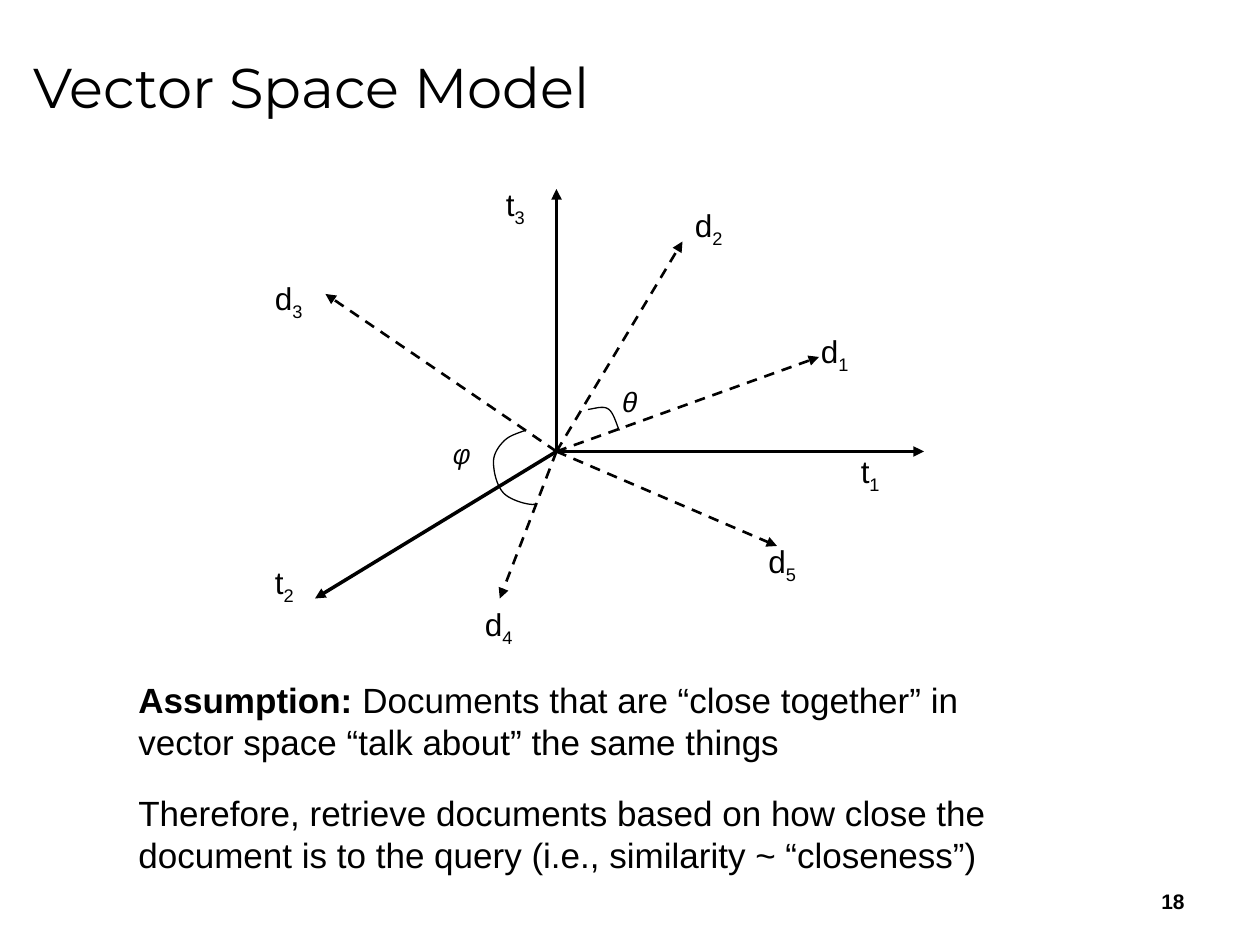
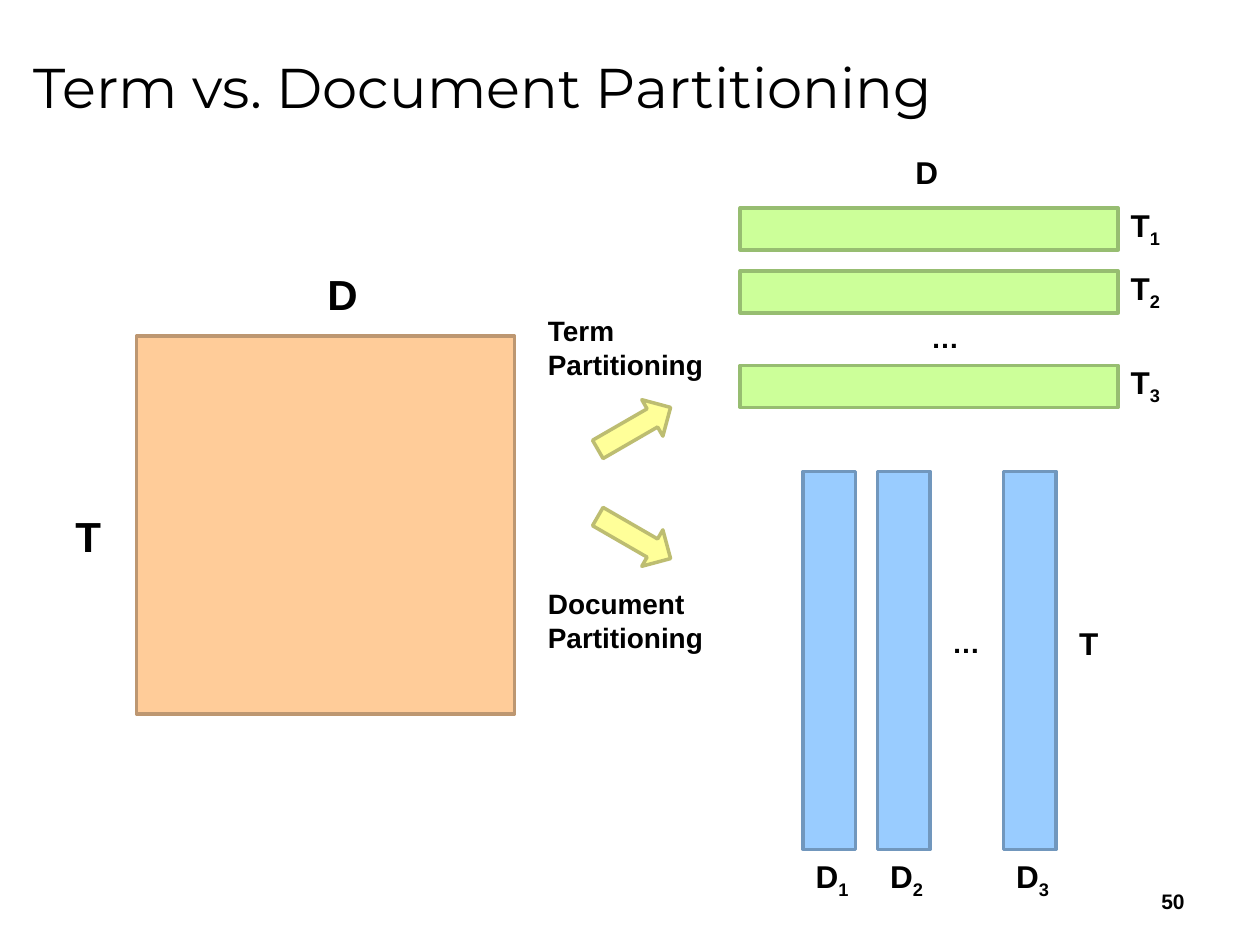
from pptx import Presentation
from pptx.dml.color import RGBColor
from pptx.enum.dml import MSO_LINE
from pptx.enum.shapes import MSO_CONNECTOR, MSO_SHAPE
from pptx.enum.text import MSO_ANCHOR, MSO_AUTO_SIZE, PP_ALIGN
from pptx.oxml.ns import qn
from pptx.util import Inches, Pt
from lxml.etree import SubElement

BLACK = "000000"
BODY_FONT = "Arial"
TITLE_FONT = "Montserrat"
SYMBOL_FONT = "Courier New"
ORANGE = ("FFCC99", "BD9771")
GREEN = ("CCFF99", "97BD71")
BLUE = ("99CCFF", "7197BD")
YELLOW = ("FFFF99", "BDBD71")
GRID_COLUMNS = 120
GRID_ROWS = 90
CURVE_STEPS = 12


def color(hex_code):
    """Turn a hex string into a colour."""
    return RGBColor.from_string(hex_code)


def curve_points(start, segments):
    """Sample a chain of cubic curves, each given as three points."""
    points = [start]
    for first, second, end in segments:
        origin = points[-1]
        for step in range(1, CURVE_STEPS + 1):
            t = step / CURVE_STEPS
            weights = ((1 - t) ** 3, 3 * t * (1 - t) ** 2, 3 * t**2 * (1 - t), t**3)
            corners = (origin, first, second, end)
            points.append(tuple(
                sum(weight * corner[axis] for weight, corner in zip(weights, corners))
                for axis in (0, 1)))
    return points


class Deck:
    """Hold the presentation style and the current slide, on a fine grid."""

    def __init__(self):
        """Open a blank presentation and set its size."""
        self.presentation = Presentation()
        self.presentation.slide_width = Inches(10)
        self.presentation.slide_height = Inches(7.5)
        self.slide = None

    def place(self, column, row):
        """Convert grid columns and rows to slide lengths."""
        return (round(self.presentation.slide_width * column / GRID_COLUMNS),
                round(self.presentation.slide_height * row / GRID_ROWS))

    def set_font(self, paragraph, size, name=BODY_FONT, bold=False, italic=False):
        """Format a whole paragraph."""
        font = paragraph.font
        font.size = Pt(size)
        font.name = name
        font.bold = bold
        font.italic = italic
        font.color.rgb = color(BLACK)

    def add_slide(self, title, number):
        """Start a slide with its title and page number."""
        self.slide = self.presentation.slides.add_slide(self.presentation.slide_layouts[5])
        shape = self.slide.shapes.title
        shape.left, shape.top = self.place(2, 1.5)
        shape.width, shape.height = self.place(114, 13.4)
        frame = shape.text_frame
        frame.text = title
        frame.auto_size = MSO_AUTO_SIZE.NONE
        frame.vertical_anchor = MSO_ANCHOR.MIDDLE
        paragraph = frame.paragraphs[0]
        paragraph.alignment = PP_ALIGN.LEFT
        self.set_font(paragraph, 32, TITLE_FONT)
        page = self.text(number, 86, 83.4, 28, 4.8, size=12, bold=True)
        page.vertical_anchor = MSO_ANCHOR.MIDDLE
        page.paragraphs[0].alignment = PP_ALIGN.RIGHT

    def text(self, words, column, row, columns, rows=4.8, size=18, wrap=True,
             lead="", subscript="", **style):
        """Add a text box with an optional bold lead and subscript."""
        box = self.slide.shapes.add_textbox(*self.place(column, row), *self.place(columns, rows))
        frame = box.text_frame
        frame.word_wrap = wrap
        paragraph = frame.paragraphs[0]
        if lead:
            run = paragraph.add_run()
            run.text = lead
            run.font.bold = True
        for index, line in enumerate(words.split("\n")):
            if index:
                paragraph.add_line_break()
            paragraph.add_run().text = line
        if subscript:
            run = paragraph.add_run()
            run.text = subscript
            run.font._element.set("baseline", "-25000")
        self.set_font(paragraph, size, **style)
        return frame

    def label(self, words, column, row, columns=5.2, **options):
        """Add a short label that never wraps."""
        return self.text(words, column, row, columns, wrap=False, **options)

    def arrow(self, start, end, width=2, dashed=False):
        """Draw a straight arrow between two grid points."""
        connector = self.slide.shapes.add_connector(
            MSO_CONNECTOR.STRAIGHT, *self.place(*start), *self.place(*end))
        line = connector.line
        line.color.rgb = color(BLACK)
        line.width = Pt(width)
        if dashed:
            line.dash_style = MSO_LINE.DASH
        SubElement(line._get_or_add_ln(), qn("a:tailEnd"), type="triangle")
        SubElement(connector._element.spPr, qn("a:effectLst"))

    def curve(self, start, *segments):
        """Draw a thin open curve."""
        first, *rest = [self.place(*point) for point in curve_points(start, segments)]
        builder = self.slide.shapes.build_freeform(*first)
        builder.add_line_segments(rest, close=False)
        shape = builder.convert_to_shape()
        shape.shadow.inherit = False
        shape.fill.background()
        shape.line.color.rgb = color(BLACK)
        shape.line.width = Pt(0.75)

    def block(self, colors, column, row, columns, rows, kind=MSO_SHAPE.RECTANGLE, rotation=0):
        """Draw a filled and outlined shape."""
        shape = self.slide.shapes.add_shape(
            kind, *self.place(column, row), *self.place(columns, rows))
        fill, outline = colors
        shape.shadow.inherit = False
        shape.fill.solid()
        shape.fill.fore_color.rgb = color(fill)
        shape.line.color.rgb = color(outline)
        shape.line.width = Pt(2)
        shape.rotation = rotation


def vector_space(deck):
    """Build the slide with term axes and document vectors."""
    deck.add_slide("Vector Space Model", "18")
    origin = (53, 43)
    axes = [((88, 43), (80.8, 42.5)), ((30, 57), (25, 53)), ((53, 18), (47, 17))]
    documents = [((78, 34), (77, 31)), ((65, 23), (65, 19)), ((31, 28), (25, 26)),
                 ((47.6, 57), (45, 57)), ((74, 52), (72, 51))]
    for number, (tip, spot) in enumerate(axes, 1):
        deck.arrow(origin, tip)
        deck.label("t", *spot, columns=4.3, subscript=str(number))
    for number, (tip, spot) in enumerate(documents, 1):
        deck.arrow(origin, tip, width=1.5, dashed=True)
        deck.label("d", *spot, subscript=str(number))
    deck.curve((56, 39), ((56.75, 38.9), (57.5, 38.6), (58, 39)),
               ((58.5, 39.4), (58.8, 40.7), (59, 41)))
    deck.curve((50, 41), ((49.2, 41.3), (48.5, 41.5), (48, 42)),
               ((47.5, 42.5), (47, 43.2), (47, 44)),
               ((47, 44.9), (47.3, 46.3), (48, 47)),
               ((48.7, 47.7), (50.6, 48.2), (51, 48)))
    for angle, column, row in (("θ", 58, 36), ("φ", 42, 41)):
        deck.text(angle, column, row, 3.6, 4.4, size=16, name=SYMBOL_FONT, italic=True)
    deck.text("Documents that are “close together” in vector space “talk about” the same things",
              12, 64, 90, 9.3, size=20, lead="Assumption: ")
    deck.text("Therefore, retrieve documents based on how close the document is to the query "
              "(i.e., similarity ~ “closeness”)", 12, 74.75, 90, 9.3, size=20)


def partitioning(deck):
    """Build the slide that splits a matrix by rows and by columns."""
    deck.add_slide("Term vs. Document Partitioning", "50")
    side = 36
    deck.block(ORANGE, 13, 32, side, side)
    deck.label("T", 6, 48, 4.9, rows=6, size=24, bold=True)
    deck.label("D", 30, 25, 5.4, rows=6, size=24, bold=True)
    for number, row in enumerate((19.8, 25.8, 34.8), 1):
        deck.block(GREEN, 70.5, row, side, 4)
        deck.label("T", 106.5, row - 0.8, 5.4, subscript=str(number), bold=True)
    for number, column in enumerate((76.5, 83.6, 95.6), 1):
        deck.block(BLUE, column, 44.9, 5, side)
        deck.label("D", column, 81, 5.8, subscript=str(number), bold=True)
    deck.label("D", 86, 14, 4.6, bold=True)
    deck.label("T", 101.6, 58.8, 4.3, bold=True)
    for column, row in ((87.5, 29.9), (89.5, 59)):
        deck.label("…", column, row, rows=4.4, size=16, bold=True)
    for name, text_row, arrow_row, rotation in (("Term", 29.3, 38.8, 330),
                                                ("Document", 55.3, 49.2, 30)):
        deck.block(YELLOW, 56.4, arrow_row, 8, 4, MSO_SHAPE.RIGHT_ARROW, rotation)
        deck.text(f"{name}\nPartitioning", 51, text_row, 17.4, 7.7, size=16, bold=True)


def main():
    """Build both slides and save them."""
    deck = Deck()
    vector_space(deck)
    partitioning(deck)
    deck.presentation.save("out.pptx")


if __name__ == "__main__":
    main()
